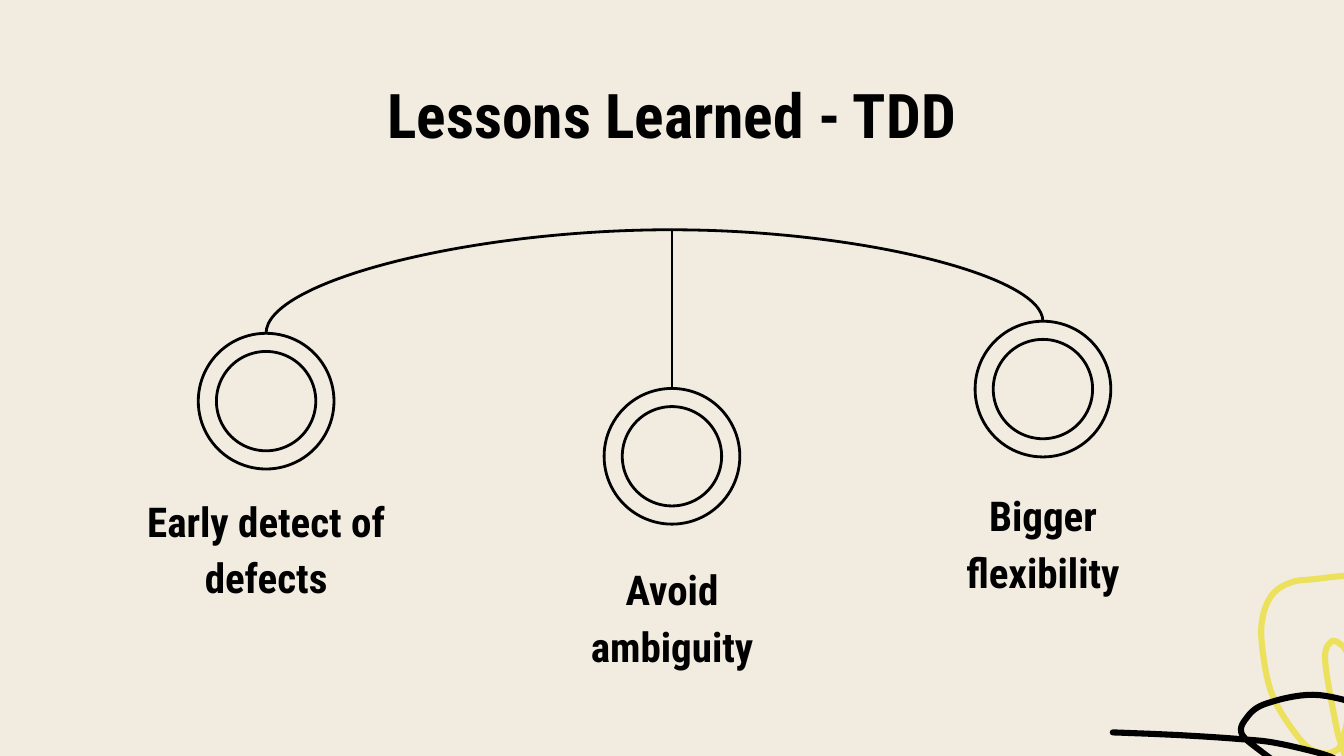
"""Build the TDD lessons slide: three rings hanging from a curved mobile."""
from dataclasses import dataclass

from pptx import Presentation
from pptx.dml.color import RGBColor
from pptx.enum.shapes import MSO_CONNECTOR as Link, MSO_SHAPE as Preset
from pptx.enum.text import MSO_ANCHOR as Anchor, PP_ALIGN as Align
from pptx.oxml.ns import qn
from pptx.util import Inches, Pt

COLORS = {"paper": "F1EBE0", "ink": "000000", "yellow": "ECE15C"}
FONT = "Roboto Condensed"
RING, RING_HOLE = 1.01, 0.134
LABEL_WIDTH = 2.05
APEX = (5, 1.71)
STEPS = 8


@dataclass
class Pendant:
    """A ring with its label underneath."""
    label: str
    center: float
    ring_top: float
    label_top: float
    label_height: float


@dataclass
class Scribble:
    """A thick smooth stroke through a list of points."""
    color: str
    points: list[tuple[float, float]]


PENDANTS = [
    Pendant("Early detect of defects", 1.98, 2.48, 3.57, 1.01),
    Pendant("Avoid ambiguity", 5, 2.89, 4.08, 1.01),
    Pendant("Bigger flexibility", 7.76, 2.39, 3.62, 0.92),
]
SCRIBBLES = [
    Scribble("yellow", [
        (10.94, 4.2), (10.38, 4.25), (9.95, 4.29), (9.78, 4.31), (9.62, 4.33),
        (9.48, 4.41), (9.4, 4.57), (9.39, 4.8), (9.47, 5.18), (9.68, 5.51),
        (9.82, 5.6), (9.93, 5.59), (9.99, 5.5), (10.07, 5.12), (10.03, 4.88),
        (9.97, 4.79), (9.9, 4.78), (9.86, 4.92), (9.94, 5.39), (9.99, 5.57),
        (10.14, 6.01), (10.31, 6.47)]),
    Scribble("ink", [
        (8.28, 5.45), (8.77, 5.47), (9.23, 5.5), (9.5, 5.53), (9.87, 5.62),
        (9.98, 5.69), (9.99, 5.75), (9.95, 5.79), (9.86, 5.81), (9.62, 5.75),
        (9.37, 5.58), (9.24, 5.46), (9.27, 5.35), (9.41, 5.24), (9.77, 5.17),
        (10.15, 5.25), (10.4, 5.35), (10.5, 5.48), (10.52, 5.63),
        (10.46, 5.8), (10.3, 6.35), (10.13, 6.9)]),
]


def rgb(name: str) -> RGBColor:
    """Look up a named colour."""
    return RGBColor.from_string(COLORS[name])


def set_line(s, color: str, width: float) -> None:
    """Give a shape or connector a plain line."""
    s.line.color.rgb = rgb(color)
    s.line.width = Pt(width)


def smooth(points: list[tuple[float, float]]) -> list[tuple[float, float]]:
    """Sample a Catmull-Rom curve through the points."""
    padded = [points[0], *points, points[-1]]
    curve = [points[0]]
    for quad in zip(padded, padded[1:], padded[2:], padded[3:]):
        for step in range(1, STEPS + 1):
            t = step / STEPS
            curve.append(tuple(
                b + t * (c - a) / 2 + t**2 * (a - 2.5 * b + 2 * c - d / 2)
                + t**3 * (3 * (b - c) + d - a) / 2
                for a, b, c, d in zip(*quad)))
    return curve


def add_scribble(slide, scribble: Scribble) -> None:
    """Draw a round-ended decorative stroke."""
    start, *rest = [(Inches(x), Inches(y)) for x, y in smooth(scribble.points)]
    builder = slide.shapes.build_freeform(*start)
    builder.add_line_segments(rest, close=False)
    s = builder.convert_to_shape()
    s.shadow.inherit = False
    s.fill.background()
    set_line(s, scribble.color, 3.25)
    s.element.spPr.find(qn("a:ln")).set("cap", "rnd")


def add_text(slide, text: str, left: float, top: float, width: float,
             height: float, size: float, anchor: Anchor,
             spacing: float = 1.0) -> None:
    """Add a centred bold text box."""
    box = slide.shapes.add_textbox(*map(Inches, (left, top, width, height)))
    tf = box.text_frame
    margins = {f"margin_{side}": Inches(0.1)
               for side in ("left", "top", "right", "bottom")}
    for key, value in {"word_wrap": True, "vertical_anchor": anchor,
                       **margins}.items():
        setattr(tf, key, value)
    p = tf.paragraphs[0]
    p.alignment, p.line_spacing = Align.CENTER, spacing
    r = p.add_run()
    r.text = text
    for key, value in {"name": FONT, "size": Pt(size), "bold": True}.items():
        setattr(r.font, key, value)
    r.font.color.rgb = rgb("ink")


def add_pendant(slide, pendant: Pendant) -> None:
    """Draw a ring, the arm that holds it and its label."""
    ring = slide.shapes.add_shape(Preset.DONUT, *map(Inches, (
        pendant.center - RING / 2, pendant.ring_top, RING, RING)))
    ring.adjustments[0] = RING_HOLE
    ring.shadow.inherit = False
    ring.fill.background()
    set_line(ring, "ink", 1.5)

    straight = pendant.center == APEX[0]
    kind = Link.STRAIGHT if straight else Link.CURVE
    arm = slide.shapes.add_connector(
        kind, *map(Inches, (*APEX, pendant.center, pendant.ring_top)))
    set_line(arm, "ink", 1.5)
    sp_pr = arm.element.spPr
    sp_pr.append(sp_pr.makeelement(qn("a:effectLst"), {}))
    if straight:
        arm.end_connect(ring, 0)
    else:
        sp_pr.find(qn("a:prstGeom")).set("prst", "curvedConnector2")

    add_text(slide, pendant.label, pendant.center - LABEL_WIDTH / 2,
             pendant.label_top, LABEL_WIDTH, pendant.label_height,
             22, Anchor.BOTTOM, 1.15)


def main() -> None:
    """Compose and save the slide."""
    prs = Presentation()
    prs.slide_width = Inches(10)
    prs.slide_height = prs.slide_width * 9 // 16
    slide = prs.slides.add_slide(prs.slide_layouts[6])
    slide.background.fill.solid()
    slide.background.fill.fore_color.rgb = rgb("paper")
    for scribble in SCRIBBLES:
        add_scribble(slide, scribble)
    add_text(slide, "Lessons Learned - TDD", 0.78, 0.59, 8.44, 0.52,
             33, Anchor.MIDDLE)
    for pendant in PENDANTS:
        add_pendant(slide, pendant)
    prs.save("out.pptx")


if __name__ == "__main__":
    main()
